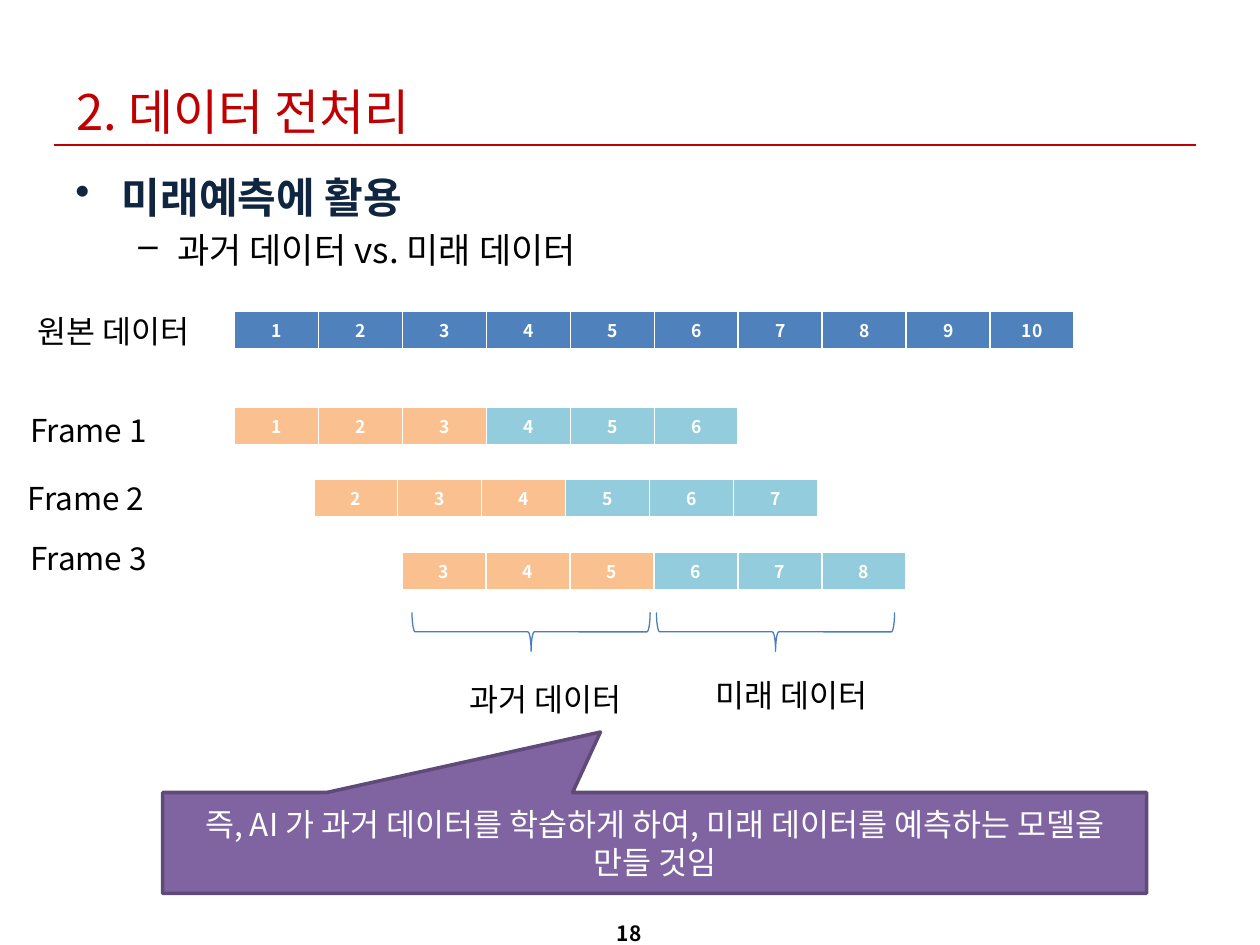
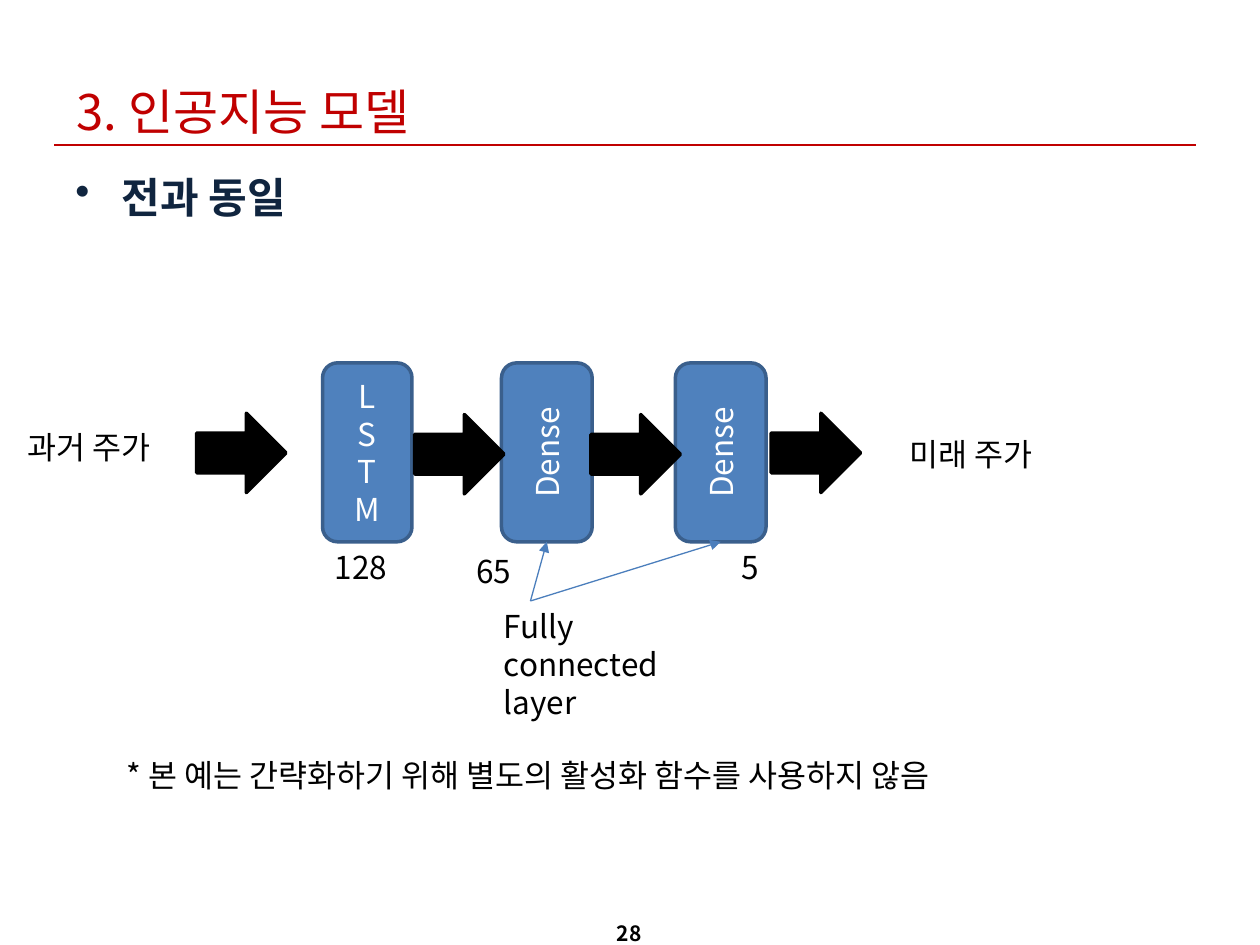
from dataclasses import dataclass

from lxml.etree import SubElement
from pptx import Presentation
from pptx.dml.color import RGBColor
from pptx.enum.shapes import MSO_CONNECTOR, MSO_SHAPE
from pptx.enum.text import MSO_ANCHOR, MSO_AUTO_SIZE, PP_ALIGN
from pptx.oxml.ns import qn
from pptx.util import Inches, Pt


@dataclass(frozen=True)
class Theme:
    """Colours, type sizes and line widths shared by the slides."""
    font: str = "Noto Sans CJK KR"
    red: str = "C00000"
    navy: str = "10253F"
    black: str = "000000"
    white: str = "FFFFFF"
    blue: str = "4F81BD"
    blue_edge: str = "3A5F8C"
    blue_line: str = "4B7EBC"
    past: str = "FAC090"
    future: str = "93CDDD"
    purple: str = "8064A2"
    purple_edge: str = "5F4A78"
    title: int = 28
    heading: int = 24
    point: int = 20
    label: int = 18
    page: int = 12
    cell: int = 10
    thin: float = 0.75
    thick: float = 2


@dataclass(frozen=True)
class Box:
    """A rectangle in inches."""
    left: float
    top: float
    width: float
    height: float

    def inner(self, dx, dy, width, height):
        """Return a box offset from this one's corner."""
        return Box(self.left + dx, self.top + dy, width, height)

    def emu(self):
        """Return the rectangle as lengths."""
        return [Inches(v) for v in (self.left, self.top, self.width, self.height)]


THEME = Theme()
CELL_WIDTH = 2 / 3
ROW_HEIGHT = 0.31
LABEL_HEIGHT = 0.4


def rgb(colour):
    """Turn a hex string into a colour."""
    return RGBColor.from_string(colour)


def write(paragraph, text, size, colour, bold=False, align=PP_ALIGN.LEFT):
    """Add one styled run to a paragraph."""
    paragraph.alignment = align
    run = paragraph.add_run()
    run.text = text
    run.font.size = Pt(size)
    run.font.bold = bold
    run.font.name = THEME.font
    run.font.color.rgb = rgb(colour)
    SubElement(run._r.get_or_add_rPr(), qn("a:ea"), typeface=THEME.font)


def write_lines(frame, lines, size, colour, **style):
    """Write each line as its own paragraph."""
    for index, line in enumerate(lines):
        paragraph = frame.add_paragraph() if index else frame.paragraphs[0]
        write(paragraph, line, size, colour, **style)


def add_text(slide, box, lines, size, colour, anchor=MSO_ANCHOR.TOP, **style):
    """Add a wrapping text box."""
    frame = slide.shapes.add_textbox(*box.emu()).text_frame
    frame.word_wrap = True
    frame.vertical_anchor = anchor
    write_lines(frame, lines, size, colour, **style)
    return frame


def add_label(slide, box, *lines):
    """Add a black label that grows with its text."""
    frame = add_text(slide, box, lines, THEME.label, THEME.black)
    frame.word_wrap = False
    frame.auto_size = MSO_AUTO_SIZE.SHAPE_TO_FIT_TEXT


def add_figure(slide, kind, box, fill, edge, width=THEME.thick, lines=(), rotation=0):
    """Add a preset shape with optional centred white text."""
    figure = slide.shapes.add_shape(kind, *box.emu())
    figure.shadow.inherit = False
    figure.rotation = rotation
    if fill:
        figure.fill.solid()
        figure.fill.fore_color.rgb = rgb(fill)
    else:
        figure.fill.background()
    figure.line.color.rgb = rgb(edge)
    figure.line.width = Pt(width)
    figure.text_frame.vertical_anchor = MSO_ANCHOR.MIDDLE
    write_lines(figure.text_frame, lines, THEME.label, THEME.white, align=PP_ALIGN.CENTER)
    return figure


def add_line(slide, start, end, colour, arrow=False):
    """Add a thin straight line, with an arrowhead at its end if asked."""
    ends = [Inches(v) for v in (*start, *end)]
    line = slide.shapes.add_connector(MSO_CONNECTOR.STRAIGHT, *ends)
    line.line.color.rgb = rgb(colour)
    line.line.width = Pt(THEME.thin)
    properties = line._element.spPr
    if arrow:
        SubElement(properties.find(qn("a:ln")), qn("a:tailEnd"), type="triangle")
    SubElement(properties, qn("a:effectLst"))


def add_bullet(paragraph, text, bullet, indent, hanging, size, colour, bold):
    """Write a bulleted paragraph with a hanging indent."""
    paragraph.space_before = Pt(size * 0.2)
    write(paragraph, text, size, colour, bold)
    properties = paragraph._p.get_or_add_pPr()
    properties.set("marL", str(Inches(indent)))
    properties.set("indent", str(-Inches(hanging)))
    SubElement(properties, qn("a:buChar"), char=bullet)


def add_base(deck, title, heading, page, points=()):
    """Start a slide with rule, title, bullets and page number."""
    slide = deck.slides.add_slide(deck.slide_layouts[6])
    add_line(slide, (0.43, 1.15), (9.49, 1.15), THEME.red)
    add_text(slide, Box(0.51, 0.29, 8.98, 0.87), [title], THEME.title, THEME.red,
             anchor=MSO_ANCHOR.BOTTOM)
    body = slide.shapes.add_textbox(*Box(0.5, 1.31, 9, 5.64).emu()).text_frame
    body.word_wrap = True
    add_bullet(body.paragraphs[0], heading, "•", 0.37, 0.37,
               THEME.heading, THEME.navy, True)
    for point in points:
        add_bullet(body.add_paragraph(), point, "–", 0.81, 0.31,
                   THEME.point, THEME.black, False)
    add_text(slide, Box(3.83, 7.26, 2.33, 0.27), [page], THEME.page, THEME.black,
             bold=True, align=PP_ALIGN.CENTER)
    return slide


def add_borders(cell):
    """Give a cell white borders, heavier below."""
    properties = cell._tc.get_or_add_tcPr()
    for side, width in (("L", 1), ("R", 1), ("T", 1), ("B", 3)):
        border = SubElement(properties, qn(f"a:ln{side}"), w=str(Pt(width)))
        fill = SubElement(border, qn("a:solidFill"))
        SubElement(fill, qn("a:srgbClr"), val=THEME.white)


def add_series(slide, box, first, fills):
    """Add a one-row table of consecutive numbers, one per fill."""
    area = box.inner(0, 0, CELL_WIDTH * len(fills), ROW_HEIGHT)
    table = slide.shapes.add_table(1, len(fills), *area.emu()).table
    for offset, fill in enumerate(fills):
        cell = table.cell(0, offset)
        add_borders(cell)
        cell.fill.solid()
        cell.fill.fore_color.rgb = rgb(fill)
        write(cell.text_frame.paragraphs[0], str(first + offset), THEME.cell,
              THEME.white, True, PP_ALIGN.CENTER)


def add_frames(slide, box):
    """Place the source series and the three sliding frames."""
    add_label(slide, box.inner(0.08, 0, 1.55, LABEL_HEIGHT), "원본 데이터")
    add_series(slide, box.inner(1.74, 0.04, 0, 0), 1, [THEME.blue] * 10)
    window = [THEME.past] * 3 + [THEME.future] * 3
    places = [(0.02, 0.78, 1.74, 0.8), (0, 1.32, 2.37, 1.37), (0.02, 1.8, 3.07, 1.95)]
    for number, (label_x, label_y, row_x, row_y) in enumerate(places, 1):
        add_label(slide, box.inner(label_x, label_y, 1.17, LABEL_HEIGHT), f"Frame {number}")
        add_series(slide, box.inner(row_x, row_y, 0, 0), number, window)


def add_spans(slide, box):
    """Brace and name the past and future halves of the last frame."""
    braces = [(0.79, 1.28, 0.36, "과거 데이터"), (2.73, 1.25, 2.31, "미래 데이터")]
    for brace_x, label_y, label_x, name in braces:
        add_figure(slide, MSO_SHAPE.RIGHT_BRACE, box.inner(brace_x, 0, 0.31, 1.89),
                   None, THEME.blue_line, THEME.thin, rotation=90)
        add_label(slide, box.inner(label_x, label_y, 1.55, LABEL_HEIGHT), name)


def add_conclusion(slide, box):
    """Add the callout that points at the past data."""
    callout = add_figure(
        slide, MSO_SHAPE.RECTANGULAR_CALLOUT, box, THEME.purple, THEME.purple_edge,
        lines=["즉, AI 가 과거 데이터를 학습하게 하여, 미래 데이터를 예측하는 모델을 만들 것임"])
    callout.adjustments[0] = -0.055
    callout.adjustments[1] = -1.1


def add_model(slide, box):
    """Draw the layers, the flow between them and their sizes."""
    layer = MSO_SHAPE.FLOWCHART_ALTERNATE_PROCESS
    add_figure(slide, layer, box.inner(2.44, 0, 0.71, 1.42), THEME.blue,
               THEME.blue_edge, lines="LSTM")
    for dense_x in (3.51, 4.89):
        add_figure(slide, layer, box.inner(dense_x, 0.35, 1.42, 0.72), THEME.blue,
                   THEME.blue_edge, lines=["Dense"], rotation=270)
    for arrow_x, arrow_y in ((1.44, 0.4), (3.17, 0.41), (4.57, 0.41), (6, 0.4)):
        add_figure(slide, MSO_SHAPE.RIGHT_ARROW, box.inner(arrow_x, arrow_y, 0.71, 0.63),
                   THEME.black, THEME.black)
    labels = [(0, 0.47, 1.3, "과거 주가"), (7, 0.52, 1.3, "미래 주가"),
              (2.44, 1.42, 0.64, "128"), (3.56, 1.45, 0.49, "65"), (5.67, 1.42, 0.35, "5")]
    for label_x, label_y, width, text in labels:
        add_label(slide, box.inner(label_x, label_y, width, LABEL_HEIGHT), text)


def add_layer_note(slide, box):
    """Name the dense layers and point at each of them."""
    add_label(slide, box, "Fully", "connected", "layer")
    for tip_x in (0.44, 1.82):
        add_line(slide, (box.left + 0.31, box.top),
                 (box.left + tip_x, box.top - 0.47), THEME.blue_line, arrow=True)


def build_preprocessing(deck):
    """Build the slide on past and future data."""
    slide = add_base(deck, "2. 데이터 전처리", "미래예측에 활용", "18",
                     ["과거 데이터 vs. 미래 데이터"])
    add_frames(slide, Box(0.12, 2.43, 8.41, 2.26))
    add_spans(slide, Box(3.27, 4.07, 3.86, 1.68))
    add_conclusion(slide, Box(1.29, 6.29, 7.81, 0.8))


def build_network(deck):
    """Build the slide on the network model."""
    slide = add_base(deck, "3. 인공지능 모델", "전과 동일", "28")
    add_model(slide, Box(0.12, 2.88, 8.3, 1.85))
    add_layer_note(slide, Box(3.9, 4.77, 1.54, 1.01))
    add_label(slide, Box(0.91, 5.95, 7.4, LABEL_HEIGHT),
              "* 본 예는 간략화하기 위해 별도의 활성화 함수를 사용하지 않음")


def main():
    """Build and save the deck."""
    deck = Presentation()
    deck.slide_width, deck.slide_height = Inches(10), Inches(7.5)
    build_preprocessing(deck)
    build_network(deck)
    deck.save("out.pptx")


if __name__ == "__main__":
    main()
